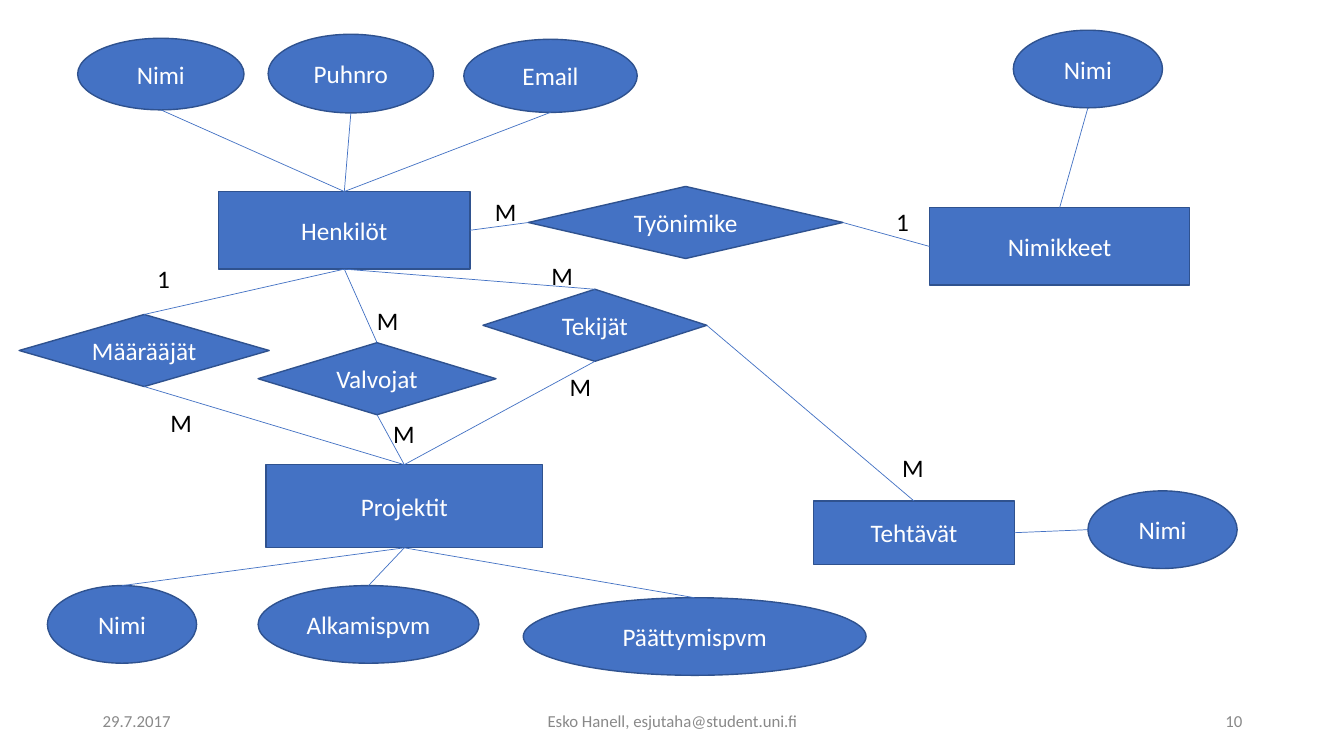
from collections import namedtuple

from lxml import etree
from pptx import Presentation
from pptx.dml.color import RGBColor
from pptx.enum.shapes import MSO_CONNECTOR as Connector, MSO_SHAPE as Shape
from pptx.enum.text import MSO_ANCHOR as Anchor, MSO_AUTO_SIZE as AutoSize, PP_ALIGN as Align
from pptx.oxml.ns import qn
from pptx.util import Inches, Pt

COLORS = {"fill": "4472C4", "edge": "2F528F", "link": "4472C4",
          "light": "FFFFFF", "dark": "000000", "footer": "898989"}
CELL = Inches(0.1)  # one column or row of the slide grid
Box = namedtuple("Box", "x y w h")

# middle of each side, as shares of a shape's width and height
SIDES = {"top": (0.5, 0), "left": (0, 0.5), "bottom": (0.5, 1), "right": (1, 0.5)}


def color(name):
    return RGBColor.from_string(COLORS[name])


def place(region, x, y, w, h):
    """Turn a grid position inside a region into slide lengths."""
    return [round(n * CELL) for n in (region.x + x, region.y + y, w, h)]


def write(sp, text, size=18, fill="dark", align=Align.LEFT, anchor=Anchor.TOP, wrap=True):
    tf = sp.text_frame
    tf.word_wrap = wrap
    tf.vertical_anchor = anchor
    p = tf.paragraphs[0]
    p.alignment = align
    r = p.add_run()
    r.text = text
    r.font.name = "Calibri"
    r.font.size = Pt(size)
    r.font.color.rgb = color(fill)


def add_node(s, kind, region, text, *cells):
    sp = s.shapes.add_shape(kind, *place(region, *cells))
    sp.shadow.inherit = False
    sp.fill.solid()
    sp.fill.fore_color.rgb = color("fill")
    sp.line.color.rgb = color("edge")
    sp.line.width = Pt(1)
    write(sp, text, fill="light", align=Align.CENTER, anchor=Anchor.MIDDLE)
    return sp


def side_point(sp, side):
    across, down = SIDES[side]
    return round(sp.left + across * sp.width), round(sp.top + down * sp.height)


def add_link(s, start, start_side, end, end_side):
    line = s.shapes.add_connector(
        Connector.STRAIGHT, *side_point(start, start_side), *side_point(end, end_side))
    line.line.color.rgb = color("link")
    line.line.width = Pt(0.5)
    etree.SubElement(line._element.spPr, qn("a:effectLst"))


def add_entity(s, region, name, cells, attributes, sides):
    """Draw an entity with its attributes; sides are (attribute, entity) link ends."""
    entity = add_node(s, Shape.RECTANGLE, region, name, *cells)
    for text, *attribute_cells in attributes:
        oval = add_node(s, Shape.OVAL, region, text, *attribute_cells)
        add_link(s, oval, sides[0], entity, sides[1])
    return entity


def add_cardinality(s, region, text, x, y):
    sp = s.shapes.add_textbox(*place(region, x, y, 3.3 if text == "1" else 4.2, 4))
    write(sp, text, wrap=False)
    sp.text_frame.auto_size = AutoSize.SHAPE_TO_FIT_TEXT


def add_relations(s, region, entities):
    """Draw the diamonds, their links to entities and the cardinalities."""
    people, titles, projects, tasks = entities
    # name, left, top, width, then links: side, entity, entity side, label, label x, y
    relations = [
        ("Määrääjät", 0, 12.7, 24.8, [
            ("top", people, "bottom", "1", 12.7, 7.1),
            ("bottom", projects, "top", "M", 14, 21.4)]),
        ("Valvojat", 23.7, 15.5, 23.6, [
            ("top", people, "bottom", "M", 34.5, 11.3),
            ("bottom", projects, "top", "M", 36.1, 22.5)]),
        ("Tekijät", 46, 10.2, 22.2, [
            ("top", people, "bottom", "M", 51.8, 6.8),
            ("bottom", projects, "top", "M", 53.6, 17.8),
            ("right", tasks, "top", "M", 86.6, 25.9)]),
        ("Työnimike", 50.5, 0, 31.2, [
            ("left", people, "right", "M", 46.2, 0.5),
            ("right", titles, "left", "1", 86, 1.5)]),
    ]
    for name, x, y, w, links in relations:
        diamond = add_node(s, Shape.DIAMOND, region, name, x, y, w, 7.15)
        for side, entity, entity_side, label, label_x, label_y in links:
            add_link(s, diamond, side, entity, entity_side)
            add_cardinality(s, region, label, label_x, label_y)


def add_footer(s, region):
    for text, x, w, align in (
        ("29.7.2017", 0, 30, Align.LEFT),
        ("Esko Hanell, esjutaha@student.uni.fi", 35, 45, Align.CENTER),
        ("10", region.w - 30, 30, Align.RIGHT),
    ):
        sp = s.shapes.add_textbox(*place(region, x, 0, w, region.h))
        write(sp, text, size=12, fill="footer", align=align, anchor=Anchor.MIDDLE)


def main():
    prs = Presentation()
    prs.slide_width, prs.slide_height = Inches(13.33), Inches(7.5)
    s = prs.slides.add_slide(prs.slide_layouts[6])

    add_footer(s, Box(9.2, 69.5, 115, 4))
    people = add_entity(
        s, Box(7.7, 3.4, 55.5, 23.3), "Henkilöt", (14, 15.6, 24.9, 7.7),
        [("Nimi", 0, 0.4, 16.5, 7.1),
         ("Puhnro", 18.9, 0, 16.4, 7.8),
         ("Email", 38.3, 0.5, 17.2, 7.25)],
        ("bottom", "top"))
    titles = add_entity(
        s, Box(92.2, 3, 25.8, 25.3), "Nimikkeet", (0, 17.6, 25.8, 7.7),
        [("Nimi", 8.3, 0, 14.8, 7.7)],
        ("bottom", "top"))
    projects = add_entity(
        s, Box(4.7, 46.1, 81.2, 20.9), "Projektit", (21.7, 0, 27.4, 8.25),
        [("Nimi", 0, 12, 14.8, 7.7),
         ("Alkamispvm", 20.9, 12, 21.9, 7.7),
         ("Päättymispvm", 47.2, 13.2, 34, 7.7)],
        ("top", "bottom"))
    tasks = add_entity(
        s, Box(80.7, 48.7, 42, 7.7), "Tehtävät", (0, 1, 19.9, 6.3),
        [("Nimi", 27.2, 0, 14.8, 7.7)],
        ("left", "right"))
    add_relations(s, Box(1.9, 18.5, 91, 30), (people, titles, projects, tasks))

    prs.save("out.pptx")


if __name__ == "__main__":
    main()
